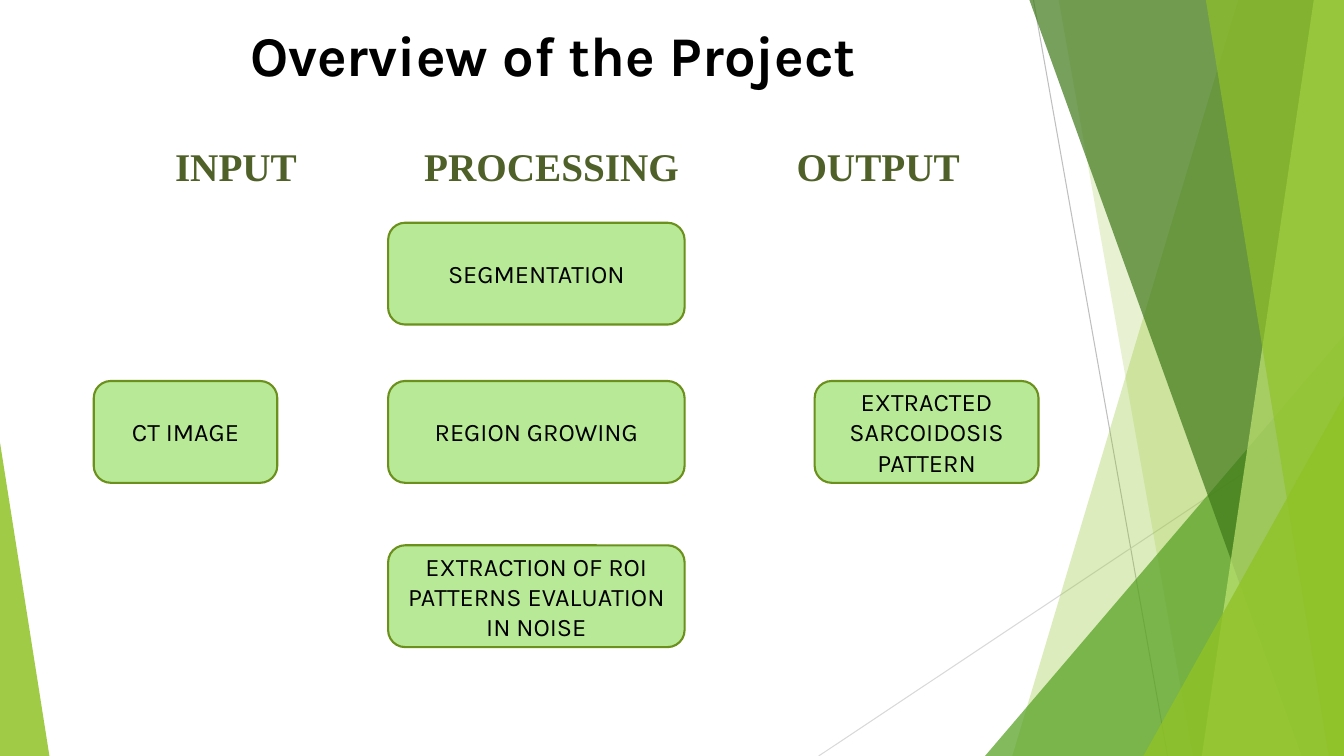
"""Builds the project overview slide with its green facet border."""
import pptx
import pptx.util
import pptx.dml.color
import pptx.enum.shapes
import pptx.enum.text
import pptx.oxml.ns
import pptx.oxml.xmlchemy

Inches = pptx.util.Inches
Pt = pptx.util.Pt
WIDE, HIGH = 13.33, 7.5
HUES = {
    "ink": "000000", "head": "4F6128", "box": "B7E996", "edge": "6B901C",
    "lime": "90C226", "leaf": "54A021", "pine": "3F7819", "pale": "C0E474",
    "gray": "BFBFBF", "mist": "D9D9D9",
}
TITLE = "Overview of the Project"
HEADS = [("INPUT", 2.34), ("PROCESSING", 5.47), ("OUTPUT", 8.71)]
BOXES = [
    ("CT IMAGE", 0.93, 3.78, 1.82),
    ("SEGMENTATION", 3.85, 2.21, 2.94),
    ("REGION GROWING", 3.85, 3.78, 2.94),
    ("EXTRACTION OF ROI PATTERNS EVALUATION IN NOISE", 3.85, 5.41, 2.94),
    ("EXTRACTED SARCOIDOSIS PATTERN", 8.08, 3.78, 2.22),
]
BOX_HIGH = 1.01
RAYS = [(10.25, 0, 11.58, HIGH, "gray"), (WIDE, 4.03, 8.12, HIGH, "mist")]
FACETS = [
    ("band", 12.28, 10.04, "lime", 30),
    ("band", 10.5, 11.83, "lime", 20),
    ("right", 3.56, 4.17, "leaf", 72),
    ("band", 10.21, 12.91, "pine", 70),
    ("band", 13.03, 11.92, "pale", 70),
    ("band", 11.96, 13.18, "lime", 65),
    ("right", 1.99, 3.57, "lime", 80),
    ("left", 0.49, 3.11, "lime", 85),
]


def tint(name):
    return pptx.dml.color.RGBColor.from_string(HUES[name])


def paint(shape, hue, alpha=100):
    shape.shadow.inherit = False
    shape.fill.solid()
    shape.fill.fore_color.rgb = tint(hue)
    if alpha < 100:
        color = shape._element.spPr.find(".//" + pptx.oxml.ns.qn("a:srgbClr"))
        node = pptx.oxml.xmlchemy.OxmlElement("a:alpha")
        node.set("val", str(alpha * 1000))
        color.append(node)


def write(shape, text, size, face, hue, bold=False, anchor="TOP"):
    frame = shape.text_frame
    frame.text = text
    frame.word_wrap = True
    frame.auto_size = pptx.enum.text.MSO_AUTO_SIZE.NONE
    frame.vertical_anchor = pptx.enum.text.MSO_ANCHOR[anchor]
    line = frame.paragraphs[0]
    line.alignment = pptx.enum.text.PP_ALIGN.CENTER
    font = line.runs[0].font
    font.size, font.name, font.bold = Pt(size), face, bold
    font.color.rgb = tint(hue)


def add_ray(shapes, x1, y1, x2, y2, hue):
    kind = pptx.enum.shapes.MSO_CONNECTOR.STRAIGHT
    ray = shapes.add_connector(kind, *map(Inches, (x1, y1, x2, y2)))
    ray.line.color.rgb = tint(hue)
    ray.line.width = Pt(0.75)
    ray._element.spPr.append(pptx.oxml.xmlchemy.OxmlElement("a:effectLst"))


def add_band(shapes, top, foot):
    spots = [(WIDE, 0), (WIDE, HIGH), (foot, HIGH)]
    edge = shapes.build_freeform(Inches(top), 0)
    edge.add_line_segments([(Inches(x), Inches(y)) for x, y in spots])
    return edge.convert_to_shape()


def add_wedge(shapes, side, wide, high):
    left = WIDE - wide if side == "right" else 0
    kind = pptx.enum.shapes.MSO_SHAPE.ISOSCELES_TRIANGLE
    wedge = shapes.add_shape(
        kind, *map(Inches, (left, HIGH - high, wide, high)))
    wedge.adjustments[0] = 1 if side == "right" else 0
    return wedge


def main():
    deck = pptx.Presentation()
    deck.slide_width, deck.slide_height = Inches(WIDE), Inches(HIGH)
    slide = deck.slides.add_slide(deck.slide_layouts[5])
    shapes = slide.shapes

    for ray in RAYS:
        add_ray(shapes, *ray)
    for kind, a, b, hue, alpha in FACETS:
        if kind == "band":
            facet = add_band(shapes, a, b)
        else:
            facet = add_wedge(shapes, kind, a, b)
        paint(facet, hue, alpha)
        facet.line.fill.background()

    title = shapes.title
    title.left, title.top = Inches(1.91), Inches(0.15)
    title.width, title.height = Inches(7.15), Inches(0.77)
    write(title, TITLE, 40, "Karla", "ink", bold=True)

    for text, mid in HEADS:
        head = shapes.add_textbox(
            *map(Inches, (mid - 1.5, 1.36, 3, 0.57)))
        write(head, text, 28, "Times New Roman", "head", bold=True)

    for text, left, top, wide in BOXES:
        box = shapes.add_shape(
            pptx.enum.shapes.MSO_SHAPE.ROUNDED_RECTANGLE,
            *map(Inches, (left, top, wide, BOX_HIGH)))
        paint(box, "box")
        box.line.color.rgb = tint("edge")
        box.line.width = Pt(1.5)
        write(box, text, 18, "Karla", "ink", anchor="MIDDLE")

    deck.save("out.pptx")


if __name__ == "__main__":
    main()
